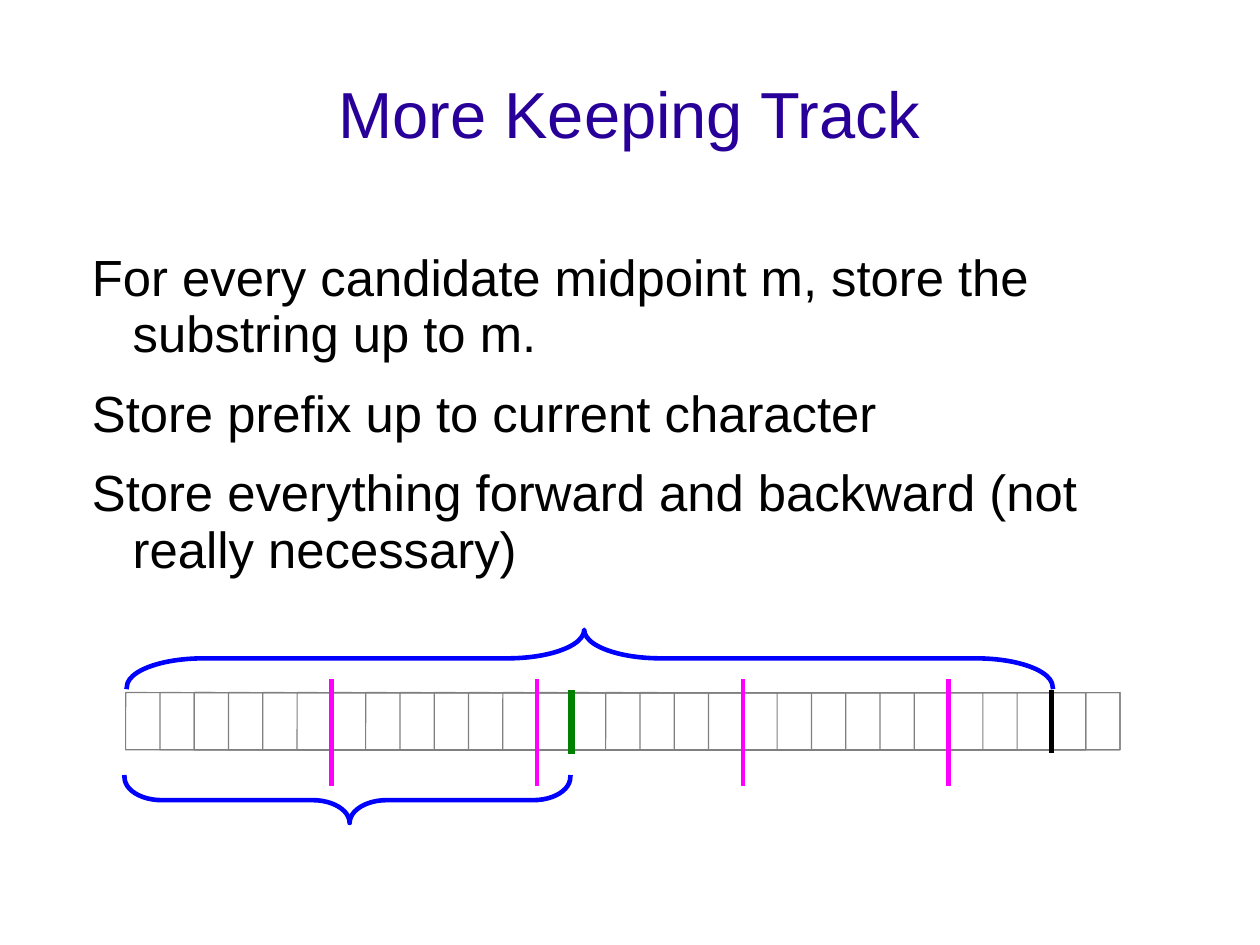
from lxml.etree import SubElement
from pptx import Presentation
from pptx.dml.color import RGBColor
from pptx.enum.shapes import MSO_CONNECTOR as Connector, MSO_SHAPE as Shape
from pptx.enum.text import MSO_ANCHOR as Anchor, MSO_AUTO_SIZE as AutoSize, PP_ALIGN as Align
from pptx.oxml.ns import qn
from pptx.util import Pt

FONT = "Arial"
STORED_ITEMS = [
    "For every candidate midpoint m, store the substring up to m.",
    "Store prefix up to current character",
    "Store everything forward and backward (not really necessary)",
]

# Character strip: overlapping frames whose sides mark every character
CELL_WIDTH, CELL_HEIGHT = 21.6, 36
STRIP_LEFT, STRIP_TOP = 79.2, 436.3
LONG_FRAMES, LONG_SPAN = range(13), 17
SHORT_FRAMES, SHORT_SPAN = [14, 13, 15, 2], 14
CANDIDATES = [6, 12, 18, 24]
CURRENT, END = 13, 27


def color(value):
    return RGBColor.from_string(value)


def style_line(shape, value, width, cap="flat"):
    shape.line.color.rgb = color(value)
    shape.line.width = Pt(width)
    shape._element.spPr.find(qn("a:ln")).set("cap", cap)


def style_frame(frame, anchor, top_inset=0):
    frame.word_wrap = True
    frame.auto_size = AutoSize.NONE
    frame.vertical_anchor = anchor
    frame.margin_left = frame.margin_right = frame.margin_bottom = 0
    frame.margin_top = Pt(top_inset)


def style_paragraph(paragraph, size, value):
    paragraph.line_spacing = 0.93
    paragraph.font.name = FONT
    paragraph.font.size = Pt(size)
    paragraph.font.color.rgb = color(value)


def add_title(slide, text):
    title = slide.shapes.title
    title.left, title.top, title.width, title.height = Pt(39.6), Pt(23.8), Pt(714.2), Pt(99.4)
    style_frame(title.text_frame, Anchor.MIDDLE)
    title.text_frame.text = text
    paragraph = title.text_frame.paragraphs[0]
    paragraph.alignment = Align.CENTER
    style_paragraph(paragraph, 41, "280099")


def add_body(slide, items):
    box = slide.shapes.add_textbox(Pt(56.6), Pt(155.8), Pt(697), Pt(326.2))
    frame = box.text_frame
    style_frame(frame, Anchor.TOP, 2.2)
    for index, item in enumerate(items):
        paragraph = frame.add_paragraph() if index else frame.paragraphs[0]
        paragraph.text = item
        paragraph.space_after = Pt(14.3)
        # Hanging indent
        properties = paragraph._p.get_or_add_pPr()
        properties.set("marL", str(Pt(27)))
        properties.set("indent", str(-Pt(25.7)))
        style_paragraph(paragraph, 32, "000000")


def boundary_x(index):
    return STRIP_LEFT + index * CELL_WIDTH


def add_strip_frame(slide, index, span):
    strip_frame = slide.shapes.add_shape(Shape.ROUNDED_RECTANGLE, Pt(boundary_x(index)),
                                         Pt(STRIP_TOP), Pt(span * CELL_WIDTH), Pt(CELL_HEIGHT))
    strip_frame.adjustments[0] = 0.003
    strip_frame.shadow.inherit = False
    strip_frame.fill.background()
    style_line(strip_frame, "808080", 0.75)


def add_marker(slide, index, top, bottom, value, width):
    x = Pt(boundary_x(index))
    marker = slide.shapes.add_connector(Connector.STRAIGHT, x, Pt(top), x, Pt(bottom))
    style_line(marker, value, width, "sq")
    SubElement(marker._element.spPr, qn("a:effectLst"))


def add_brace(slide, left, top, span, depth, rotation, curve, tip):
    """Lay a left brace on its side inside the given horizontal area."""
    brace = slide.shapes.add_shape(Shape.LEFT_BRACE, Pt(left + (span - depth) / 2),
                                   Pt(top + (depth - span) / 2), Pt(depth), Pt(span))
    brace.rotation = rotation
    brace.adjustments[0] = curve
    brace.adjustments[1] = tip
    brace.shadow.inherit = False
    brace.fill.background()
    style_line(brace, "0000FF", 2.89, "sq")


def main():
    presentation = Presentation()
    presentation.slide_width, presentation.slide_height = Pt(793.75), Pt(595.25)
    slide = presentation.slides.add_slide(presentation.slide_layouts[5])

    add_title(slide, "More Keeping Track")
    add_body(slide, STORED_ITEMS)

    # Character strip
    for frames, span in [(LONG_FRAMES, LONG_SPAN), (SHORT_FRAMES, SHORT_SPAN)]:
        for index in frames:
            add_strip_frame(slide, index, span)

    # Candidate midpoints, end and current character
    for index in CANDIDATES:
        add_marker(slide, index, 429.1, 493.9, "FF00FF", 2.89)
    add_marker(slide, END, 436.3, 473, "000000", 2.89)
    add_marker(slide, CURRENT, 437, 473, "008000", 4.31)

    # Braces below and above the strip
    add_brace(slide, 78.5, 489.6, 280.8, 28.8, 270, 0.81, 0.505)
    add_brace(slide, 79.9, 396.7, 583.2, 36, 90, 1.34, 0.506)

    presentation.save("out.pptx")


if __name__ == "__main__":
    main()
